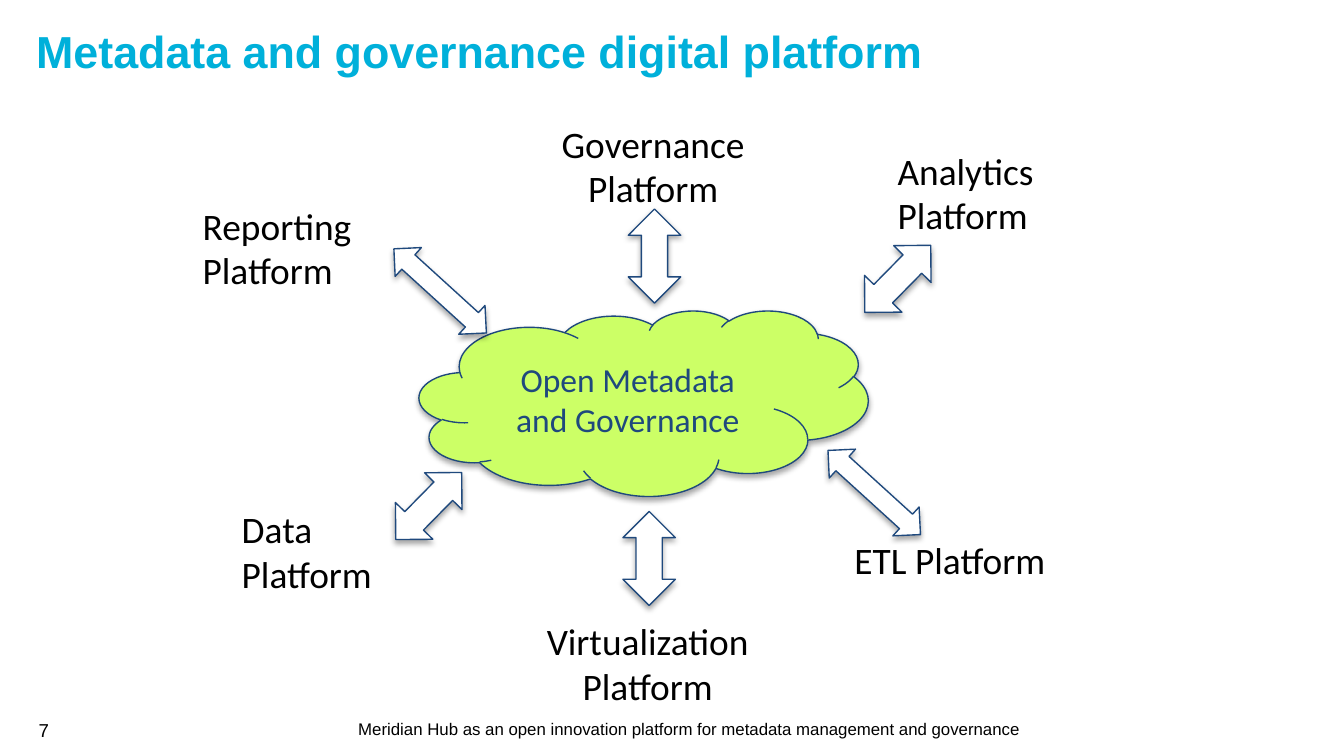
import lxml.etree
import pptx
import pptx.dml.color
import pptx.enum.shapes
import pptx.enum.text
import pptx.oxml.ns
import pptx.util

Inches = pptx.util.Inches
Pt = pptx.util.Pt
Align = pptx.enum.text.PP_ALIGN
Anchor = pptx.enum.text.MSO_ANCHOR
Shapes = pptx.enum.shapes.MSO_SHAPE

COLORS = {
    "title": "00B0DA",
    "text": "000000",
    "outline": "1F497D",
    "cloud": "CCFF66",
    "arrow": "FFFFFF",
    "shadow": "000000",
}

PLATFORMS = [
    ("Reporting Platform", (1.41, 1.46, 2.14, 0.77), Align.LEFT),
    ("ETL Platform", (6.26, 3.95, 2.14, 0.44), Align.LEFT),
    ("Analytics Platform", (6.58, 1.05, 2.14, 0.77), Align.LEFT),
    ("Virtualization Platform", (3.75, 4.55, 2.14, 0.77), Align.CENTER),
    ("Governance Platform", (3.79, 0.85, 2.14, 0.77), Align.CENTER),
    ("Data Platform", (1.7, 3.72, 1.55, 0.77), Align.LEFT),
]

ARROW_PAIRS = [
    ((0.93, 0.29), 42.3, [(2.81, 2.02), (6.04, 3.52)]),
    ((0.7, 0.39), 314.5, [(6.33, 1.88), (2.84, 3.57)]),
    ((0.7, 0.39), 270, [(4.52, 1.71), (4.48, 3.96)]),
]


def color(name):
    """Return the named colour."""
    return pptx.dml.color.RGBColor.from_string(COLORS[name])


def write_text(shape, text, size, font, color_name, align=Align.LEFT, bold=False):
    """Put one formatted paragraph in a shape."""
    shape.text_frame.word_wrap = True
    shape.text_frame.text = text
    paragraph = shape.text_frame.paragraphs[0]
    paragraph.alignment = align
    for run in paragraph.runs:
        run.font.size = Pt(size)
        run.font.name = font
        run.font.bold = bold
        run.font.color.rgb = color(color_name)


def add_label(slide, box, *text_format, **options):
    """Add a text box with its text."""
    shape = slide.shapes.add_textbox(*map(Inches, box))
    write_text(shape, *text_format, **options)
    shape.text_frame.vertical_anchor = Anchor.TOP


def add_shadow(shape):
    """Give a shape a soft shadow straight below it."""
    shape.shadow.inherit = False
    tag = pptx.oxml.ns.qn
    effects = shape._element.spPr.find(tag("a:effectLst"))
    shadow = lxml.etree.SubElement(
        effects, tag("a:outerShdw"), blurRad=str(Pt(3.1)), dist=str(Pt(1.8)),
        dir="5400000", rotWithShape="0")
    tint = lxml.etree.SubElement(shadow, tag("a:srgbClr"), val=COLORS["shadow"])
    lxml.etree.SubElement(tint, tag("a:alpha"), val="35000")


def add_outlined(slide, kind, box, fill):
    """Add a filled preset shape with a thin outline and a shadow."""
    shape = slide.shapes.add_shape(kind, *map(Inches, box))
    shape.fill.solid()
    shape.fill.fore_color.rgb = color(fill)
    shape.line.color.rgb = color("outline")
    shape.line.width = Pt(0.75)
    add_shadow(shape)
    return shape


def add_footer(slide, left, top):
    """Add the page number and the running title in the footer."""
    add_label(slide, (left + 0.84, top, 8.19, 0.25),
              "Meridian Hub as an open innovation platform for metadata management and governance",
              9, "Arial", "text", align=Align.CENTER)
    add_label(slide, (left, top, 0.6, 0.2), "7", 10, "Arial", "text")


def add_hub(slide, box):
    """Add the central cloud."""
    cloud = add_outlined(slide, Shapes.CLOUD, box, "cloud")
    write_text(cloud, "Open Metadata and Governance", 18, "Calibri", "outline", Align.CENTER)
    cloud.text_frame.vertical_anchor = Anchor.MIDDLE


def add_arrows(slide, size, rotation, corners):
    """Add double arrows of one size and rotation at the given corners."""
    for corner in corners:
        arrow = add_outlined(slide, Shapes.LEFT_RIGHT_ARROW, corner + size, "arrow")
        arrow.rotation = rotation


def build():
    """Build the 16:9 slide and save the presentation."""
    presentation = pptx.Presentation()
    presentation.slide_width = Inches(10)
    presentation.slide_height = Inches(10 * 9 / 16)
    slide = presentation.slides.add_slide(presentation.slide_layouts[6])
    add_footer(slide, 0.19, 5.3)
    add_label(slide, (0.17, 0.13, 9.59, 0.94), "Metadata and governance digital platform",
              24, "Arial", "title", bold=True)
    add_hub(slide, (3.12, 2.31, 3.34, 1.38))
    for size, rotation, corners in ARROW_PAIRS:
        add_arrows(slide, size, rotation, corners)
    for name, box, align in PLATFORMS:
        add_label(slide, box, name, 20, "Calibri", "text", align=align)
    presentation.save("out.pptx")


build()
